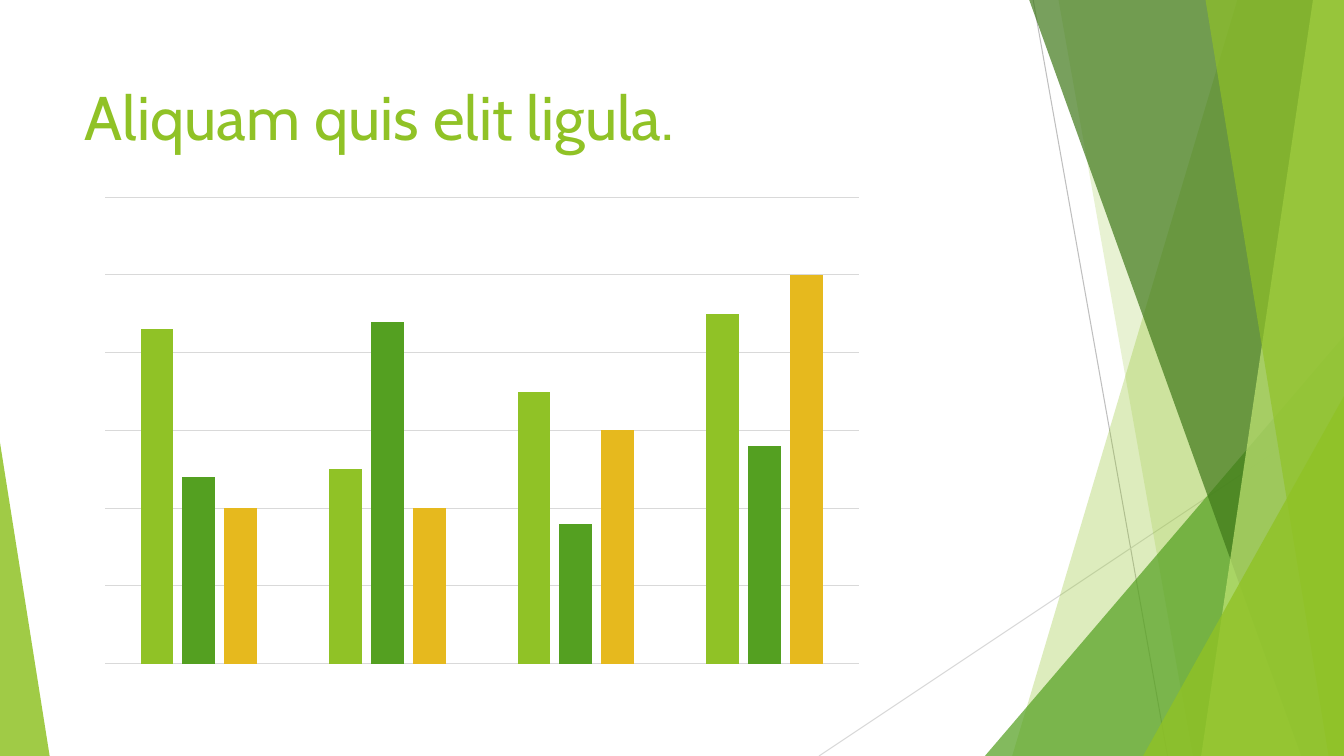
from lxml import etree
from pptx import Presentation
from pptx.chart import data
from pptx.dml import color
from pptx.enum import chart as ch, shapes, text
from pptx.oxml import ns
from pptx.util import Pt

W, H = 960, 540
TOP = -0.6  # facets bleed slightly over the top edge
FONT = "Cabin"
COLORS = {
    "lime": "90C226", "green": "54A021", "forest": "3F7819", "pale": "C0E474",
    "gold": "E6B91E", "grid": "D9D9D9", "grey": "BFBFBF", "black": "000000",
}
SERIES = [
    ("Series 1", "lime", (86, 50, 70, 90)),
    ("Series 2", "green", (48, 88, 36, 56)),
    ("Series 3", "gold", (40, 40, 60, 100)),
]
LINES = [(738, 0, 834, H, "grey"), (W, 290, 585, H, "grid")]
# Back to front: a band is (top x, bottom x), a triangle is (left, top, right, apex side)
FACETS = [
    ("band", (884, 723), "lime", 30),
    ("band", (756, 852), "lime", 20),
    ("triangle", (703.5, 240, W, 1), "green", 72),
    ("band", (735, 929.5), "forest", 70),
    ("band", (938, 858), "pale", 70),
    ("band", (861, 949), "lime", 65),
    ("triangle", (816.5, 283, W, 1), "lime", 80),
    ("triangle", (0, 316, 35.5, 0), "lime", 85),
]


def rgb(name):
    return color.RGBColor.from_string(COLORS[name])


def set_attrs(obj, **values):
    for name, value in values.items():
        setattr(obj, name, value)


def paint(sp, name, opacity):
    sp.shadow.inherit = False
    sp.line.fill.background()
    sp.fill.solid()
    sp.fill.fore_color.rgb = rgb(name)
    clr = sp.fill._xPr.find(".//" + ns.qn("a:srgbClr"))
    etree.SubElement(clr, ns.qn("a:alpha"), val=str(opacity * 1000))


def add_band(s, top_x, bottom_x):
    """Band running from a slanted left edge to the right slide edge."""
    fb = s.shapes.build_freeform(Pt(top_x), Pt(TOP), scale=1.0)
    corners = [(W, TOP), (W, H), (bottom_x, H)]
    fb.add_line_segments([(Pt(x), Pt(y)) for x, y in corners], close=True)
    return fb.convert_to_shape()


def add_triangle(s, left, top, right, apex):
    """Triangle standing on the bottom slide edge."""
    sp = s.shapes.add_shape(shapes.MSO_SHAPE.ISOSCELES_TRIANGLE,
                            Pt(left), Pt(top), Pt(right - left), Pt(H - top))
    sp.adjustments[0] = apex
    return sp


def add_backdrop(s):
    # Thin lines
    for x1, y1, x2, y2, name in LINES:
        ln = s.shapes.add_connector(shapes.MSO_CONNECTOR.STRAIGHT,
                                    Pt(x1), Pt(y1), Pt(x2), Pt(y2))
        ln.line.color.rgb = rgb(name)
        ln.line.width = Pt(0.75)
        etree.SubElement(ln._element.spPr, ns.qn("a:effectLst"))
    # Translucent facets
    makers = {"band": add_band, "triangle": add_triangle}
    for kind, geometry, name, opacity in FACETS:
        paint(makers[kind](s, *geometry), name, opacity)


def add_title(s, wording, left, top, width, height):
    sp = s.shapes.title
    set_attrs(sp, left=Pt(left), top=Pt(top), width=Pt(width), height=Pt(height))
    tf = sp.text_frame
    set_attrs(tf, word_wrap=True, vertical_anchor=text.MSO_ANCHOR.MIDDLE)
    p = tf.paragraphs[0]
    p.alignment = text.PP_ALIGN.LEFT
    r = p.add_run()
    r.text = wording
    set_attrs(r.font, name=FONT, size=Pt(44))
    r.font.color.rgb = rgb("lime")


def add_columns(s, left, top, width, height):
    cd = data.CategoryChartData()
    cd.categories = ["1", "2", "3", "4"]
    for name, _, values in SERIES:
        cd.add_series(name, values)
    chart = s.shapes.add_chart(ch.XL_CHART_TYPE.COLUMN_CLUSTERED, Pt(left), Pt(top),
                               Pt(width), Pt(height), cd).chart
    set_attrs(chart, has_legend=False, has_title=False)
    set_attrs(chart.font, name=FONT, size=Pt(10))
    chart.font.color.rgb = rgb("black")
    # Columns
    plot = chart.plots[0]
    set_attrs(plot, gap_width=219, overlap=-27, vary_by_categories=False)
    for series, (_, name, _) in zip(plot.series, SERIES):
        series.format.fill.solid()
        series.format.fill.fore_color.rgb = rgb(name)
    # Hidden axes, visible grid
    chart.category_axis.visible = False
    axis = chart.value_axis
    set_attrs(axis, visible=False, minimum_scale=0, maximum_scale=120,
              major_unit=20, has_major_gridlines=True)
    grid = axis.major_gridlines.format.line
    grid.color.rgb = rgb("grid")
    grid.width = Pt(0.75)


def main():
    prs = Presentation()
    set_attrs(prs, slide_width=Pt(W), slide_height=Pt(H))
    s = prs.slides.add_slide(prs.slide_layouts.get_by_name("Title Only"))
    add_backdrop(s)
    add_title(s, "Aliquam quis elit ligula.", 53.5, 48, 677, 69)
    add_columns(s, 63.5, 134, 561, 347)
    prs.save("out.pptx")


if __name__ == "__main__":
    main()
